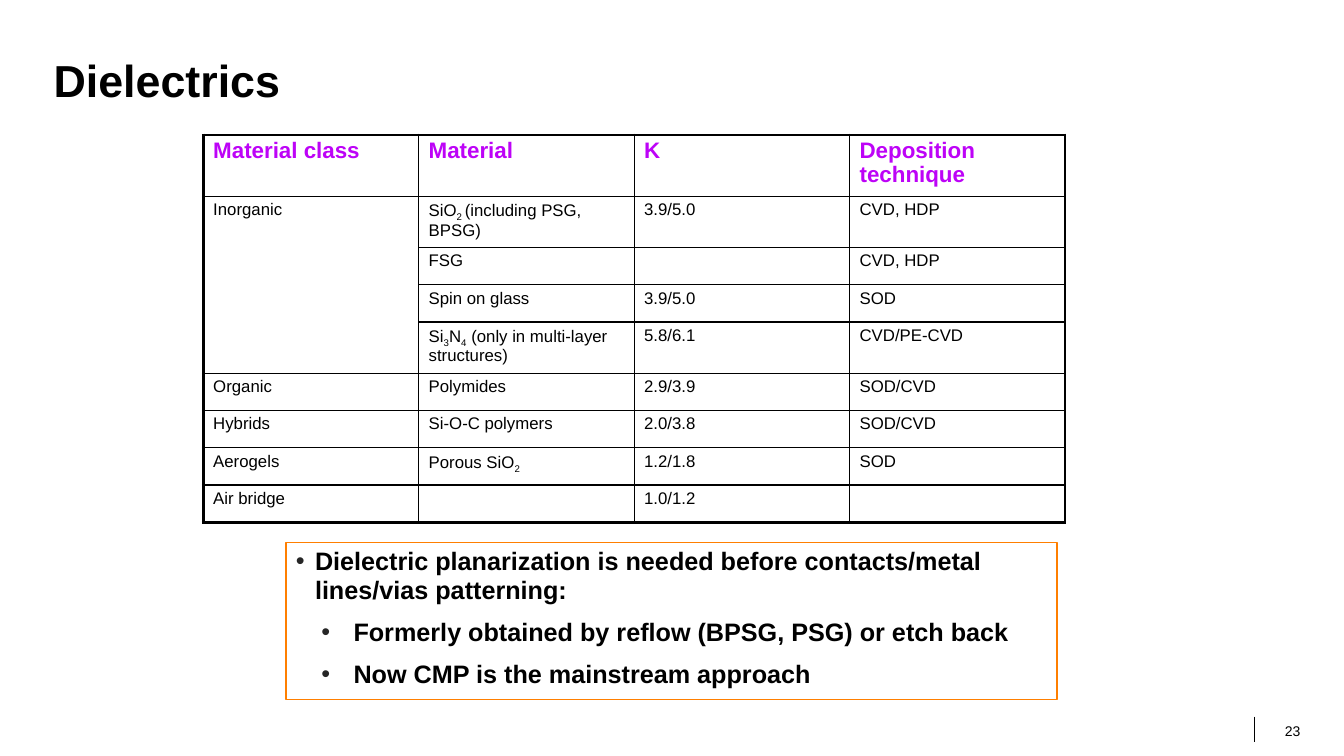
"""Build the Dielectrics slide with its material table and planarization notes."""
from lxml.etree import SubElement
from pptx import Presentation
from pptx.dml.color import RGBColor
from pptx.enum.shapes import MSO_CONNECTOR, MSO_SHAPE
from pptx.enum.text import MSO_ANCHOR, PP_ALIGN
from pptx.oxml.ns import qn
from pptx.util import Cm, Pt

BLACK = RGBColor(0x00, 0x00, 0x00)
PURPLE = RGBColor(0xBD, 0x03, 0xF7)
ORANGE = RGBColor(0xFF, 0x7F, 0x00)
BULLET_GREY = RGBColor(0x26, 0x26, 0x26)
FONT = "Arial"

COLUMN_WIDTH = 5.43
ROW_HEIGHTS = [1.55, 1.22, 0.94, 0.94, 1.22, 0.94, 0.94, 0.94, 0.94]
INORGANIC_ROWS = (1, 4)
# Text between bars is subscript.
MATERIALS = [
    ("Material class", "Material", "K", "Deposition technique"),
    ("Inorganic", "SiO|2 |(including PSG, BPSG)", "3.9/5.0", "CVD, HDP"),
    ("", "FSG", "", "CVD, HDP"),
    ("", "Spin on glass", "3.9/5.0", "SOD"),
    ("", "Si|3|N|4| (only in multi-layer structures)", "5.8/6.1", "CVD/PE-CVD"),
    ("Organic", "Polymides", "2.9/3.9", "SOD/CVD"),
    ("Hybrids", "Si-O-C polymers", "2.0/3.8", "SOD/CVD"),
    ("Aerogels", "Porous SiO|2|", "1.2/1.8", "SOD"),
    ("Air bridge", "", "1.0/1.2", ""),
]
NOTES = [
    (0, "Dielectric planarization is needed before contacts/metal lines/vias patterning:"),
    (1, "Formerly obtained by reflow (BPSG, PSG) or etch back"),
    (1, "Now CMP is the mainstream approach"),
]
NOTE_INDENTS = [(0.48, 0.48), (1.45, 0.81)]


def add_span(para, text, size, color=BLACK, bold=False):
    """Add one formatted run to a paragraph and return it."""
    span = para.add_run()
    span.text = text
    span.font.name = FONT
    span.font.size = Pt(size)
    span.font.bold = bold
    span.font.color.rgb = color
    return span


def add_label(page, place, text, size, bold, anchor, align, wrap):
    """Add a one-line text box without insets."""
    frame = page.shapes.add_textbox(*map(Cm, place)).text_frame
    frame.margin_left = frame.margin_right = frame.margin_top = frame.margin_bottom = 0
    frame.word_wrap = wrap
    frame.vertical_anchor = anchor
    para = frame.paragraphs[0]
    para.alignment = align
    para.line_spacing = 0.9
    add_span(para, text, size, bold=bold)


def set_border(cell, side, width):
    """Draw one solid black edge of a table cell."""
    edge = SubElement(cell._tc.get_or_add_tcPr(), qn(f"a:ln{side}"), w=str(Pt(width)))
    fill = SubElement(edge, qn("a:solidFill"))
    SubElement(fill, qn("a:srgbClr"), val=str(BLACK))


def fill_cell(cell, text, header):
    """Write cell text, setting every second piece as subscript."""
    para = cell.text_frame.paragraphs[0]
    para.line_spacing = 0.95
    size, color = (16, PURPLE) if header else (12, BLACK)
    for index, piece in enumerate(text.split("|")):
        if piece:
            span = add_span(para, piece, size, color, header)
            if index % 2:
                span.font._element.set("baseline", "-25000")
    if not text:
        SubElement(para._p, qn("a:endParaRPr"), sz=str(size * 100))


def add_material_table(page):
    """Add the table of material classes with a heavy outer frame."""
    rows, columns = len(MATERIALS), len(MATERIALS[0])
    table = page.shapes.add_table(
        rows, columns, Cm(5.12), Cm(3.4), Cm(COLUMN_WIDTH * columns), Cm(sum(ROW_HEIGHTS))
    ).table
    table.first_row = table.horz_banding = False
    for column in table.columns:
        column.width = Cm(COLUMN_WIDTH)
    for r, (height, texts) in enumerate(zip(ROW_HEIGHTS, MATERIALS)):
        table.rows[r].height = Cm(height)
        for c, text in enumerate(texts):
            cell = table.cell(r, c)
            fill_cell(cell, text, header=r == 0)
            outer = {"L": c == 0, "R": c == columns - 1, "T": r == 0, "B": r == rows - 1}
            for side, heavy in outer.items():
                set_border(cell, side, 2.25 if heavy else 1)
            cell.fill.background()
    first, last = INORGANIC_ROWS
    table.cell(first, 0).merge(table.cell(last, 0))


def set_bullet(para, level):
    """Give a paragraph a grey bullet with a hanging indent."""
    margin, hanging = NOTE_INDENTS[level]
    para.level = level
    properties = para._p.get_or_add_pPr()
    properties.set("marL", str(Cm(margin)))
    properties.set("indent", str(-Cm(hanging)))
    color = SubElement(properties, qn("a:buClr"))
    SubElement(color, qn("a:srgbClr"), val=str(BULLET_GREY))
    SubElement(properties, qn("a:buFont"), typeface=FONT)
    SubElement(properties, qn("a:buChar"), char="•")


def add_notes_box(page):
    """Add the outlined box of bulleted planarization remarks."""
    box = page.shapes.add_shape(
        MSO_SHAPE.RECTANGLE, Cm(7.21), Cm(13.67), Cm(19.43), Cm(3.96)
    )
    box.shadow.inherit = False
    box.fill.background()
    box.line.color.rgb = ORANGE
    box.line.width = Pt(1)
    frame = box.text_frame
    frame.word_wrap = True
    frame.vertical_anchor = MSO_ANCHOR.TOP
    for index, (level, text) in enumerate(NOTES):
        para = frame.add_paragraph() if index else frame.paragraphs[0]
        set_bullet(para, level)
        para.alignment = PP_ALIGN.LEFT
        para.line_spacing = 0.95
        if index:
            para.space_before = Pt(9.5)
        add_span(para, text, 18, bold=True)


def add_footer_rule(page):
    """Add the thin vertical line beside the page number."""
    rule = page.shapes.add_connector(
        MSO_CONNECTOR.STRAIGHT, Cm(31.62), Cm(18.06), Cm(31.62), Cm(18.69)
    )
    rule.line.color.rgb = BLACK
    rule.line.width = Pt(0.5)
    SubElement(rule._element.spPr, qn("a:effectLst"))


def main():
    """Build and save the slide."""
    deck = Presentation()
    deck.slide_width, deck.slide_height = Cm(33.87), Cm(19.05)
    page = deck.slides.add_slide(deck.slide_layouts[6])
    add_footer_rule(page)
    add_label(page, (31.88, 18.14, 0.89, 0.5), "23", 10, False,
              MSO_ANCHOR.BOTTOM, PP_ALIGN.RIGHT, False)
    add_label(page, (1.35, 1.35, 31.17, 1.47), "Dielectrics", 32, True,
              MSO_ANCHOR.MIDDLE, PP_ALIGN.LEFT, True)
    add_material_table(page)
    add_notes_box(page)
    deck.save("out.pptx")


if __name__ == "__main__":
    main()
